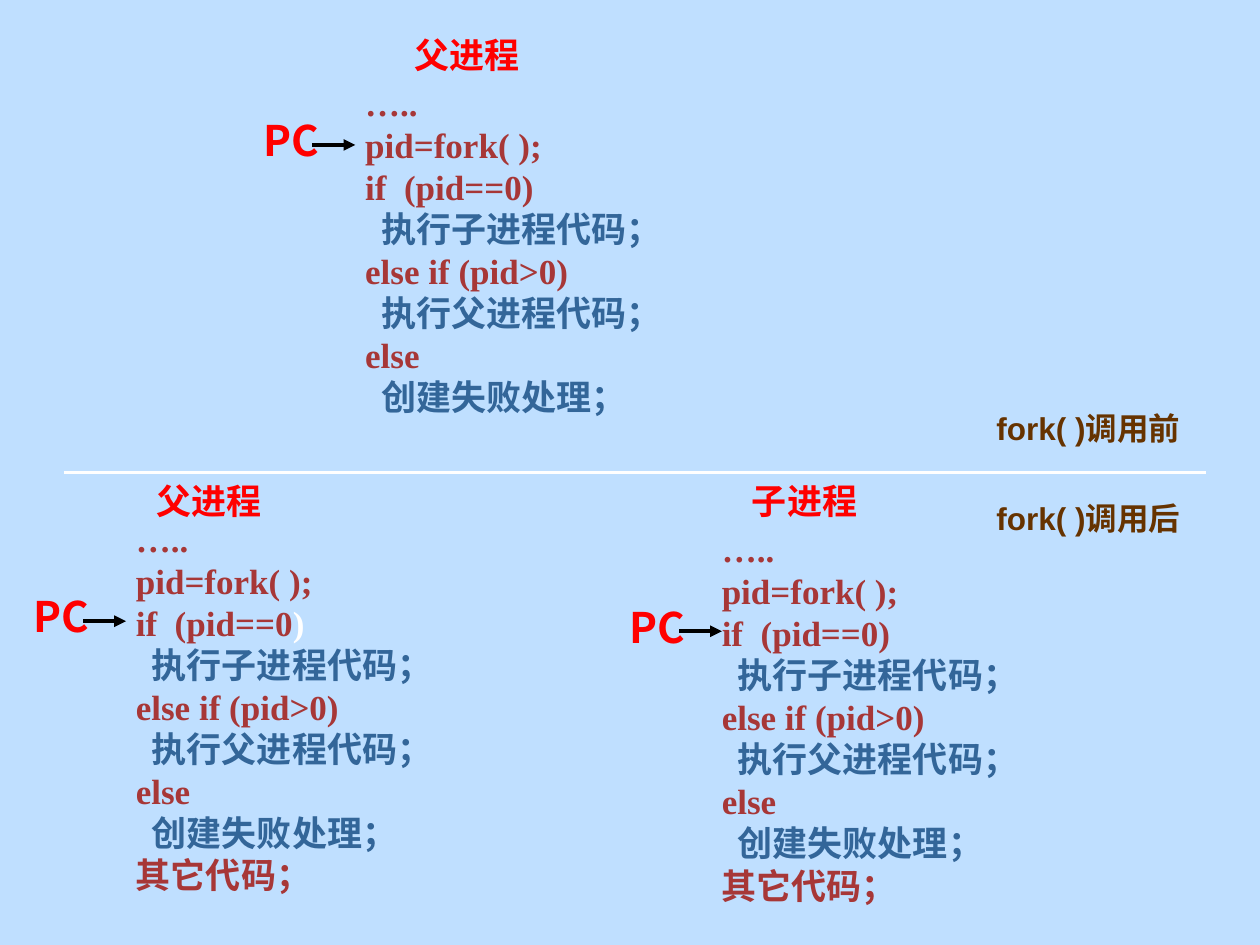
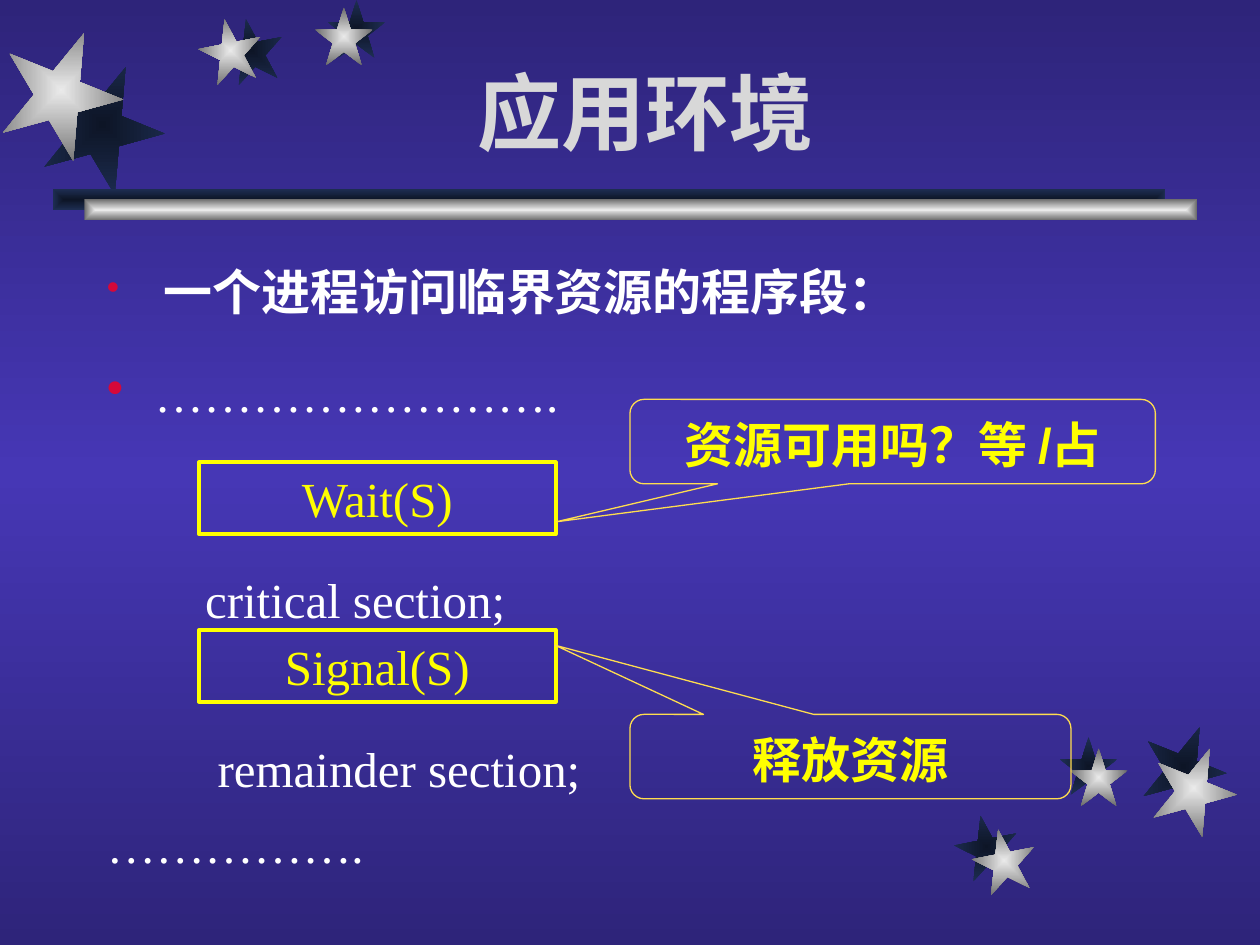
from dataclasses import dataclass
from typing import NamedTuple

import pptx
import pptx.dml.color
import pptx.enum.lang
import pptx.enum.shapes
import pptx.enum.text
import pptx.oxml
import pptx.oxml.ns
import pptx.util

Inches = pptx.util.Inches
Pt = pptx.util.Pt
SHAPE = pptx.enum.shapes.MSO_SHAPE
ANCHOR = pptx.enum.text.MSO_ANCHOR
ALIGN = pptx.enum.text.PP_ALIGN
CHINESE = pptx.enum.lang.MSO_LANGUAGE_ID.SIMPLIFIED_CHINESE

COLORS = {
    "sky": "BFDFFF", "red": "FF0000", "code": "A73737", "action": "336699",
    "label": "663300", "white": "FFFFFF", "black": "000000",
    "night": "2E247A", "violet": "4637B5", "shade": "0D1526", "shade_edge": "1E2E53",
    "silver": "EAEAEA", "silver_edge": "6B6B6B", "title": "D8D8D8",
    "bullet": "D60839", "yellow": "FFFF00", "gold": "FFDD4F",
}
SANS, SERIF, CJK = "Arial", "Times New Roman", "Noto Sans CJK SC"
SILVER = ("silver", "silver_edge")
SHADE = ("shade", "shade_edge")


class TextStyle(NamedTuple):
    size: float
    color: str
    font: str = SANS
    bold: bool = True


class StarPair(NamedTuple):
    """A silver star and the offset of the dark star behind it."""
    left: float
    top: float
    size: float
    rotation: float
    shade_dx: float
    shade_dy: float


class BodyLine(NamedTuple):
    text: str
    before: float
    after: float = 0
    margin: float = 0
    bullet_percent: int = 0
    bold: bool = False


class Operation(NamedTuple):
    """A semaphore operation with the callout that explains it."""
    name: str
    top: float
    remark: str
    remark_top: float
    remark_width: float
    tip: tuple[float, float]


@dataclass
class Process:
    caption: str
    caption_at: tuple[float, float]
    counter_at: tuple[float, float]
    code_at: tuple[float, float]
    after_fork: bool = True
    pale_bracket: bool = False


CAPTION = TextStyle(20, "red")
COUNTER = TextStyle(24, "red", CJK)
CODE = TextStyle(20, "code", SERIF)
ACTION = TextStyle(20, "action", SERIF)
FORK_LABEL = TextStyle(18, "label")
TITLE = TextStyle(48, "title")
OPERATION = TextStyle(28, "yellow", SERIF, False)
REMARK = TextStyle(28, "yellow")

CODE_LINES = [
    "…..", "pid=fork( );", "if  (pid==0)", "  执行子进程代码；",
    "else if (pid>0)", "  执行父进程代码；", "else", "  创建失败处理；",
]
LAST_LINE = "其它代码；"

PROCESSES = [
    Process("父进程", (3.19, 0.21), (2.09, 0.91), (2.8, 0.6), after_fork=False),
    Process("父进程", (1.14, 3.75), (0.27, 4.69), (0.98, 4.06), pale_bracket=True),
    Process("子进程", (5.87, 3.75), (5, 4.77), (5.63, 4.14)),
]
STARS = [
    StarPair(7.72, 6.58, 0.5, 349, -0.14, -0.11),
    StarPair(8.49, 5.94, 0.46, 0, -0.08, -0.09),
    StarPair(9.14, 5.92, 0.67, 22, -0.08, -0.17),
    StarPair(1.58, 0.15, 0.5, 349, 0.17, 0),
    StarPair(2.5, 0.06, 0.46, 0, 0.1, -0.06),
    StarPair(0, 0.23, 0.97, 22, 0.33, 0.27),
]
BODY_LINES = [
    BodyLine("一个进程访问临界资源的程序段：", 0, 21, 0.45, 75, True),
    BodyLine("…………………….", 7, 21, 0.38, 100),
    BodyLine("critical section;", 66.5, margin=0.78),
    BodyLine("remainder section;", 66.5, margin=0.88),
    BodyLine("…………….", 13.1),
]
OPERATIONS = [
    Operation("Wait(S)", 3.67, "资源可用吗？等 /占", 3.17, 4.17, (-0.64, 0.95)),
    Operation("Signal(S)", 5, "释放资源", 5.67, 3.5, (-0.67, -1.32)),
]


def rgb(name: str) -> pptx.dml.color.RGBColor:
    return pptx.dml.color.RGBColor.from_string(COLORS[name])


def xml(tag: str, attributes: str = "", content: str = ""):
    namespace = pptx.oxml.ns.nsdecls("a")
    return pptx.oxml.parse_xml(f"<a:{tag} {namespace} {attributes}>{content}</a:{tag}>")


def gradient(names: tuple[str, ...], direction: str):
    """Return a gradient fill with evenly spaced stops."""
    step = 100000 // (len(names) - 1)
    stops = "".join(
        f'<a:gs pos="{index * step}"><a:srgbClr val="{COLORS[name]}"/></a:gs>'
        for index, name in enumerate(names))
    return xml("gradFill", 'rotWithShape="1"', f"<a:gsLst>{stops}</a:gsLst>{direction}")


def style_span(span, style: TextStyle) -> None:
    font = span.font
    font.size, font.bold, font.name = Pt(style.size), style.bold, style.font
    font.color.rgb = rgb(style.color)
    font.language_id = CHINESE
    font._element.find(pptx.oxml.ns.qn("a:latin")).addnext(
        xml("ea", f'typeface="{CJK}"'))


def style_para(para, style: TextStyle) -> None:
    for span in para.runs:
        style_span(span, style)


def add_box(page, at: tuple[float, float], size: tuple[float, float], text: str,
            style: TextStyle, anchor=ANCHOR.MIDDLE, inset: bool = True):
    box = page.shapes.add_textbox(*map(Inches, at + size))
    frame = box.text_frame
    frame.word_wrap = True
    frame.vertical_anchor = anchor
    if not inset:
        frame.margin_left = frame.margin_right = frame.margin_top = frame.margin_bottom = 0
    frame.text = text
    for para in frame.paragraphs:
        style_para(para, style)
    return box


def add_line(page, start: tuple[float, float], end: tuple[float, float],
             color: str, arrow: bool = False) -> None:
    line = page.shapes.add_connector(pptx.enum.shapes.MSO_CONNECTOR.STRAIGHT,
                                     *map(Inches, start + end))
    line.line.color.rgb = rgb(color)
    line.line.width = Pt(2.25)
    if arrow:
        line.line._get_or_add_ln().append(xml("tailEnd", 'type="triangle"'))
    line._element.spPr.append(xml("effectLst"))


def add_process(page, process: Process) -> None:
    add_box(page, process.caption_at, (1.1, 0.44), process.caption, CAPTION)

    # Program counter and its arrow
    left, top = process.counter_at
    add_box(page, (left, top), (0.47, 0.39), "PC", COUNTER, ANCHOR.TOP, inset=False)
    add_line(page, (left + 0.39, top + 0.24), (left + 0.73, top + 0.24), "black", arrow=True)

    # Code listing
    lines = CODE_LINES + [LAST_LINE] * process.after_fork
    box = add_box(page, process.code_at, (2.68, 0.1 + len(lines) / 3),
                  "\n".join(lines), CODE, ANCHOR.TOP)
    for para in box.text_frame.paragraphs:
        para.line_spacing = Pt(24)
        if para.text.startswith(" "):
            para.runs[0].font.color.rgb = rgb(ACTION.color)
        elif process.pale_bracket and para.text.startswith("if"):
            para.runs[0].text = para.text[:-1]
            bracket = para.add_run()
            bracket.text = ")"
            style_span(bracket, CODE._replace(color="white"))


def add_gradient_shape(page, kind, at: tuple[float, float], size: tuple[float, float],
                       colors: tuple[str, str], rotation: float = 0) -> None:
    shape = page.shapes.add_shape(kind, *map(Inches, at + size))
    shape.shadow.inherit = False
    shape.rotation = rotation
    shape.line.fill.background()
    center = ('<a:path path="rect"><a:fillToRect l="50000" t="50000" '
              'r="50000" b="50000"/></a:path>')
    shape._element.spPr.find(pptx.oxml.ns.qn("a:prstGeom")).addnext(gradient(colors, center))


def add_star_pair(page, star: StarPair) -> None:
    size = (star.size, star.size)
    shade_at = (star.left + star.shade_dx, star.top + star.shade_dy)
    for at, colors in ((shade_at, SHADE), ((star.left, star.top), SILVER)):
        add_gradient_shape(page, SHAPE.STAR_5_POINT, at, size, colors, star.rotation)


def add_outlined(page, kind, at: tuple[float, float], size: tuple[float, float], text: str,
                 style: TextStyle, line_color: str, line_width: float, anchor):
    shape = page.shapes.add_shape(kind, *map(Inches, at + size))
    shape.shadow.inherit = False
    shape.fill.background()
    shape.line.color.rgb = rgb(line_color)
    shape.line.width = Pt(line_width)
    frame = shape.text_frame
    frame.word_wrap = True
    frame.vertical_anchor = anchor
    frame.text = text
    frame.paragraphs[0].alignment = ALIGN.CENTER
    style_para(frame.paragraphs[0], style)
    return shape


def add_operation(page, operation: Operation) -> None:
    add_outlined(page, SHAPE.RECTANGLE, (1.58, operation.top), (2.83, 0.57),
                 operation.name, OPERATION, "yellow", 2.25, ANCHOR.TOP)
    callout = add_outlined(page, SHAPE.ROUNDED_RECTANGULAR_CALLOUT,
                           (5, operation.remark_top), (operation.remark_width, 0.67),
                           operation.remark, REMARK, "gold", 0.75, ANCHOR.BOTTOM)
    callout.adjustments[0], callout.adjustments[1] = operation.tip


def format_body_line(para, line: BodyLine) -> None:
    properties = para._p.get_or_add_pPr()
    properties.set("marL", str(Inches(line.margin)))
    if line.bullet_percent:
        properties.set("indent", str(-Inches(line.margin)))
        properties.append(xml("buClr", "", f'<a:srgbClr val="{COLORS["bullet"]}"/>'))
        properties.append(xml("buSzPct", f'val="{line.bullet_percent * 1000}"'))
        properties.append(xml("buChar", 'char="•"'))
    para.line_spacing = 0.9
    para.space_before, para.space_after = Pt(line.before), Pt(line.after)
    style_para(para, TextStyle(28, "white", SERIF, line.bold))


def build_fork_slide(deck) -> None:
    page = deck.slides.add_slide(deck.slide_layouts[6])
    page.background.fill.solid()
    page.background.fill.fore_color.rgb = rgb("sky")
    for process in PROCESSES:
        add_process(page, process)

    # Divider between the states before and after the call
    add_line(page, (0.51, 3.75), (9.57, 3.75), "white")
    for text, top in (("fork( )调用前", 3.2), ("fork( )调用后", 3.91)):
        add_box(page, (7.81, top), (1.8, 0.4), text, FORK_LABEL)


def build_semaphore_slide(deck) -> None:
    page = deck.slides.add_slide(deck.slide_layouts[5])
    page.background.fill.solid()
    solid = page.element.xpath(".//p:bgPr/a:solidFill")[0]
    solid.getparent().replace(solid, gradient(("night", "violet", "night"),
                                              '<a:lin ang="5400000" scaled="0"/>'))

    # Stars and title band
    for star in STARS:
        add_star_pair(page, star)
    for at, colors in (((0.42, 1.5), SHADE), ((0.67, 1.58), SILVER)):
        add_gradient_shape(page, SHAPE.RECTANGLE, at, (8.83, 0.17), colors)

    # Title
    title = page.shapes.title
    title.left, title.top, title.width, title.height = map(Inches, (1.33, 0.5, 7.58, 0.83))
    title.text_frame.text = "应用环境"
    title.text_frame.vertical_anchor = ANCHOR.BOTTOM
    title.text_frame.paragraphs[0].alignment = ALIGN.CENTER
    style_para(title.text_frame.paragraphs[0], TITLE)

    # Program text, operations and callouts
    body = add_box(page, (0.75, 2.08), (8.5, 4.83),
                   "\n".join(line.text for line in BODY_LINES),
                   TextStyle(28, "white", SERIF), ANCHOR.TOP)
    for para, line in zip(body.text_frame.paragraphs, BODY_LINES):
        for old in para._p.xpath(".//a:ea"):
            old.getparent().remove(old)
        format_body_line(para, line)
    for operation in OPERATIONS:
        add_operation(page, operation)


def main() -> None:
    deck = pptx.Presentation()
    deck.slide_width, deck.slide_height = Inches(10), Inches(7.5)
    build_fork_slide(deck)
    build_semaphore_slide(deck)
    deck.save("out.pptx")


if __name__ == "__main__":
    main()
